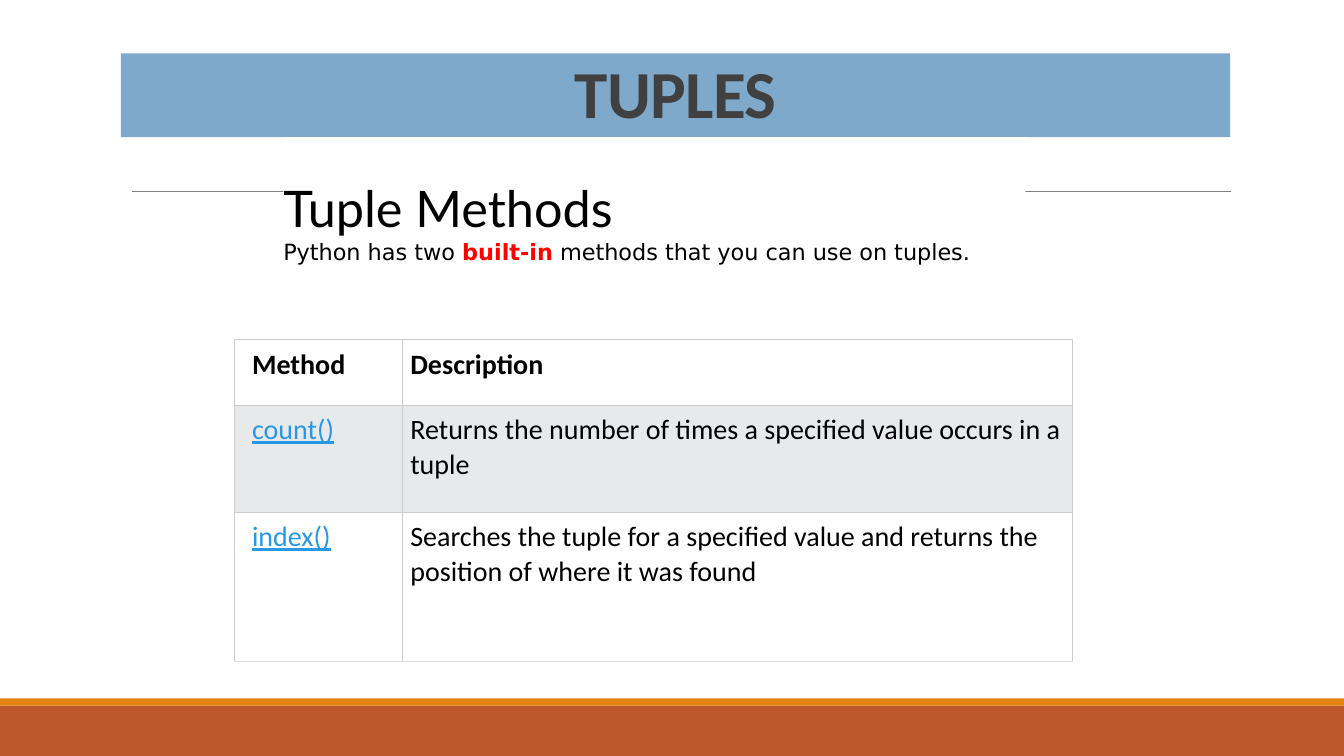
from lxml import etree
from pptx import Presentation
from pptx.dml.color import RGBColor
from pptx.enum.shapes import MSO_CONNECTOR, MSO_SHAPE
from pptx.enum.text import MSO_ANCHOR, MSO_AUTO_SIZE, PP_ALIGN
from pptx.oxml.ns import qn
from pptx.util import Inches, Pt

RECT = MSO_SHAPE.RECTANGLE
STRAIGHT = MSO_CONNECTOR.STRAIGHT
CENTER, LEFT = PP_ALIGN.CENTER, PP_ALIGN.LEFT
TOP, MIDDLE, BOTTOM = MSO_ANCHOR.TOP, MSO_ANCHOR.MIDDLE, MSO_ANCHOR.BOTTOM
BLACK, WHITE, LINK, GRID = "000000", "FFFFFF", "2998E3", "CCCCCC"
METHODS = [
    ("Method", "Description"),
    ("count()", "Returns the number of times a specified value occurs in a tuple"),
    ("index()", "Searches the tuple for a specified value and returns the "
                "position of where it was found"),
]


def paint(fill, color):
    fill.solid()
    fill.fore_color.rgb = RGBColor.from_string(color)


def style(r, size, font, color=BLACK, bold=False, underline=False):
    r.font.size, r.font.name = Pt(size), font
    r.font.bold, r.font.underline = bold, underline
    r.font.color.rgb = RGBColor.from_string(color)


def add_run(p, text, *look):
    r = p.add_run()
    r.text = text
    style(r, *look)


def add_rect(s, x, y, w, h, color):
    sp = s.shapes.add_shape(RECT, Inches(x), Inches(y), Inches(w), Inches(h))
    sp.shadow.inherit = False
    sp.line.fill.background()
    paint(sp.fill, color)
    return sp


def add_rule(s, x1, x2, y):
    line = s.shapes.add_connector(STRAIGHT, Inches(x1), Inches(y), Inches(x2), Inches(y))
    line.line.width = Pt(0.5)
    paint(line.line.fill, "808080")
    etree.SubElement(line._element.spPr, qn("a:effectLst"))


def set_title(s, text):
    sp = s.shapes.title
    sp.left, sp.top, sp.width, sp.height = Inches(1.2), Inches(0.53), Inches(11), Inches(0.83)
    paint(sp.fill, "7EA9CA")
    tf = sp.text_frame
    tf.text = text
    tf.vertical_anchor = BOTTOM
    tf.auto_size = MSO_AUTO_SIZE.NONE
    p = tf.paragraphs[0]
    p.alignment, p.line_spacing = CENTER, 0.85
    style(p.runs[0], 48, "Calibri", "404040", True)
    p.runs[0]._r.get_or_add_rPr().set("spc", "-50")


def add_intro(s):
    tf = add_rect(s, 2.81, 1.36, 7.36, 1.37, WHITE).text_frame
    tf.word_wrap = True
    tf.vertical_anchor = MIDDLE
    tf.margin_left = tf.margin_right = 0
    tf.margin_top = tf.margin_bottom = Inches(0.1)
    heading, sentence = tf.paragraphs[0], tf.add_paragraph()
    heading.alignment = sentence.alignment = LEFT
    heading.line_spacing = 1.5
    add_run(heading, "Tuple Methods", 36, "Lato")
    add_run(sentence, "Python has two ", 16, "DejaVu Sans")
    add_run(sentence, "built-in", 16, "DejaVu Sans", "FF0000", True)
    add_run(sentence, " methods that you can use on tuples.", 16, "DejaVu Sans")


def set_borders(cell, bottom):
    tcPr = cell._tc.get_or_add_tcPr()
    for side, color in (("L", GRID), ("R", GRID), ("T", GRID), ("B", bottom)):
        ln = etree.SubElement(tcPr, qn(f"a:ln{side}"), w=str(Pt(0.75)))
        fill = etree.SubElement(ln, qn("a:solidFill"))
        etree.SubElement(fill, qn("a:srgbClr"), val=color)


def fill_cell(cell, text, row, col):
    set_borders(cell, "DDDDDD" if row == len(METHODS) - 1 else GRID)
    paint(cell.fill, "E7E9EB" if row % 2 else WHITE)
    cell.vertical_anchor = TOP
    cell.margin_left = Inches(0.08 if col else 0.17)
    cell.margin_right = cell.margin_top = cell.margin_bottom = Inches(0.08)
    cell.text_frame.text = text
    is_link = row > 0 and col == 0
    style(cell.text_frame.paragraphs[0].runs[0], 20, "Calibri",
          LINK if is_link else BLACK, row == 0, is_link)


def add_methods(s):
    table = s.shapes.add_table(len(METHODS), 2, Inches(2.33), Inches(3.37),
                               Inches(8.31), Inches(3.19)).table
    for column, width in zip(table.columns, (1.66, 6.65)):
        column.width = Inches(width)
    for row, height in zip(table.rows, (0.65, 1.06, 1.48)):
        row.height = Inches(height)
    for i, texts in enumerate(METHODS):
        for j, text in enumerate(texts):
            fill_cell(table.cell(i, j), text, i, j)


def main():
    prs = Presentation()
    prs.slide_width, prs.slide_height = Inches(13.33), Inches(7.5)
    s = prs.slides.add_slide(prs.slide_layouts[5])
    add_rect(s, 0, 7, 13.33, 0.5, "BD582C")
    add_rect(s, 0, 6.93, 13.33, 0.07, "E48312")
    add_rule(s, 1.31, 12.21, 1.9)
    set_title(s, "TUPLES")
    add_methods(s)
    add_intro(s)
    prs.save("out.pptx")


if __name__ == "__main__":
    main()
